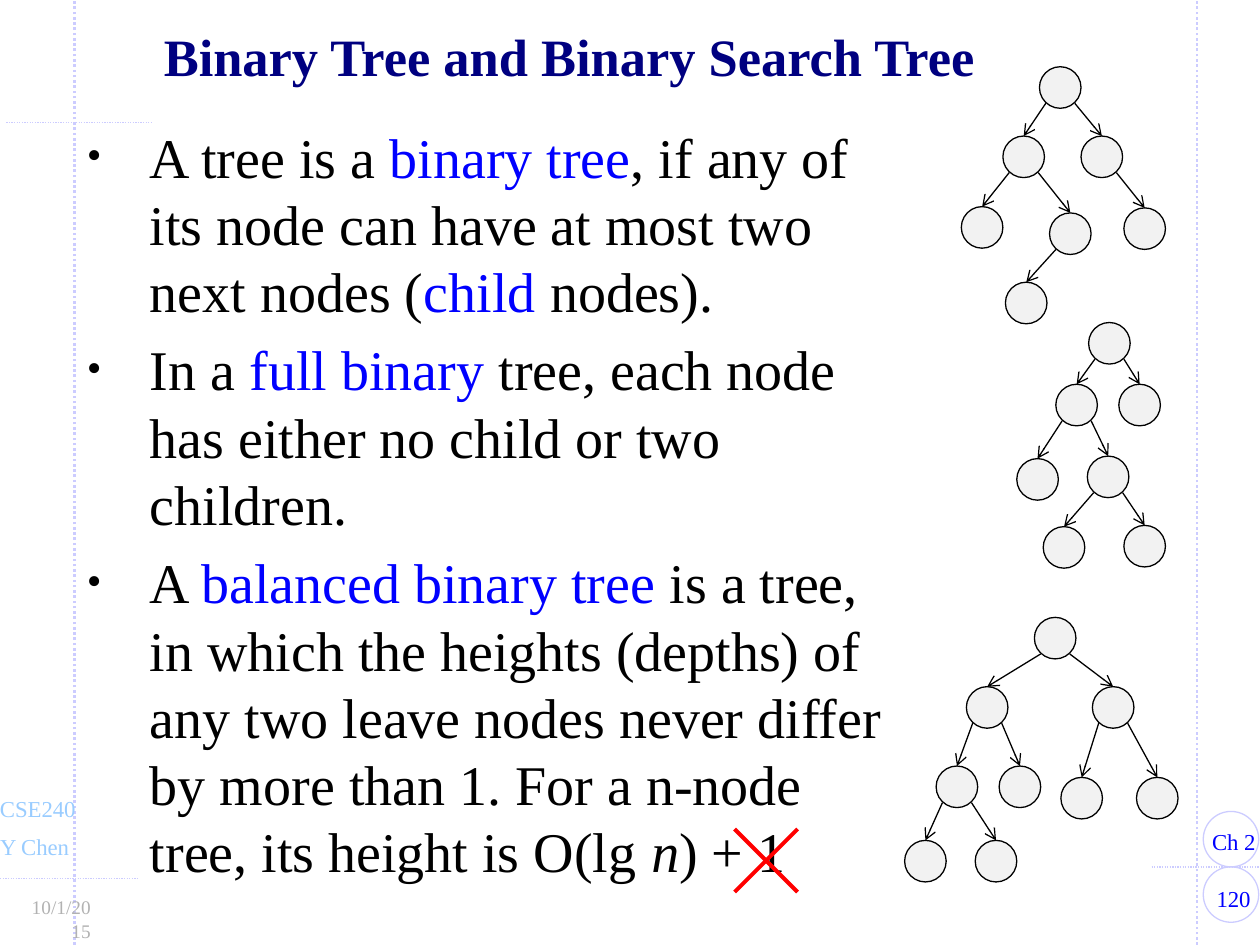
"""Build the slide on binary trees and binary search trees."""
from lxml import etree
from pptx import Presentation
from pptx.dml.color import RGBColor
from pptx.enum.dml import MSO_LINE
from pptx.enum.shapes import MSO_CONNECTOR, MSO_SHAPE
from pptx.enum.text import MSO_ANCHOR, MSO_AUTO_SIZE, PP_ALIGN
from pptx.oxml.ns import qn
from pptx.util import Inches, Pt

STRAIGHT, OVAL = MSO_CONNECTOR.STRAIGHT, MSO_SHAPE.OVAL
DOTTED = MSO_LINE.ROUND_DOT
LEFT, CENTER, RIGHT = PP_ALIGN.LEFT, PP_ALIGN.CENTER, PP_ALIGN.RIGHT
TOP, MIDDLE = MSO_ANCHOR.TOP, MSO_ANCHOR.MIDDLE
GROW = MSO_AUTO_SIZE.SHAPE_TO_FIT_TEXT

BLACK = RGBColor(0x00, 0x00, 0x00)
BLUE = RGBColor(0x00, 0x00, 0xFF)
NAVY = RGBColor(0x00, 0x00, 0x80)
RED = RGBColor(0xFF, 0x00, 0x00)
SKY = RGBColor(0x99, 0xCC, 0xFF)
LAVENDER = RGBColor(0xCC, 0xCC, 0xFF)
SILVER = RGBColor(0xB2, 0xB2, 0xB2)
NODE_FILL = RGBColor(0xF2, 0xF2, 0xF2)

GUIDES = [
    (0.59, 7.5, 0.59, 0, 1.5),
    (-0.06, 6.97, 1.09, 6.97, 0.75),
    (9.5, 7.5, 9.5, 0, 1.5),
    (9.14, 6.88, 10.05, 6.88, 0.75),
    (0.05, 0.97, 1.2, 0.97, 0.75),
]
LABELS = [
    ("120", 9.5, 6.97, 0.58, 13, BLUE, CENTER, True),
    ("Ch 2", 9.51, 6.52, 0.58, 13, BLUE, LEFT, False),
    ("Y Chen", -0.11, 6.56, 0.79, 13, SKY, LEFT, False),
    ("CSE240", -0.11, 6.26, 0.84, 13, SKY, LEFT, False),
    ("10/1/2015", 0.08, 7.06, 0.75, 11, SILVER, RIGHT, True),
]
BULLETS = [
    [("A tree is a ", BLACK, False), ("binary tree", BLUE, False),
     (", if any of its node can have at most two next nodes (", BLACK, False),
     ("child", BLUE, False), (" nodes).", BLACK, False)],
    [("In a ", BLACK, False), ("full binary ", BLUE, False),
     ("tree, each node has either no child or two children.", BLACK, False)],
    [("A ", BLACK, False), ("balanced binary tree ", BLUE, False),
     ("is a tree, in which the heights (depths) of any two leave nodes never differ "
      "by more than 1. For a n-node tree, its height is O(lg ", BLACK, False),
     ("n", BLACK, True), (") + 1", BLACK, False)],
]
BINARY_TREE = (8.25, 0.53, [
    (7.96, 1.08, [(7.63, 1.64, []), (8.33, 1.69, [(7.98, 2.24, [])])]),
    (8.58, 1.08, [(8.92, 1.65, [])]),
])
FULL_TREE = (8.64, 2.56, [
    (8.38, 3.05, [
        (8.07, 3.64, []),
        (8.63, 3.62, [(8.28, 4.18, []), (8.92, 4.17, [])]),
    ]),
    (8.88, 3.05, []),
])
BALANCED_TREE = (8.21, 4.9, [
    (7.67, 5.45, [
        (7.43, 6.08, [(7.18, 6.67, []), (7.74, 6.67, [])]),
        (7.93, 6.08, []),
    ]),
    (8.67, 5.45, [(8.42, 6.17, []), (9.02, 6.17, [])]),
])


class SlideBuilder:
    """Hold the style and the current slide."""

    font = "Times New Roman"
    node = 0.33
    inset = 0.05

    def __init__(self, s):
        self.s = s

    def line(self, x1, y1, x2, y2, color, width, dash=None, arrow=False):
        """Draw a straight line, dotted or with an arrowhead on request."""
        c = self.s.shapes.add_connector(
            STRAIGHT, Inches(x1), Inches(y1), Inches(x2), Inches(y2))
        c.line.color.rgb = color
        c.line.width = Pt(width)
        if dash:
            c.line.dash_style = dash
        if arrow:
            etree.SubElement(c.line._get_or_add_ln(), qn("a:tailEnd"), type="arrow")
        etree.SubElement(c._element.spPr, qn("a:effectLst"))

    def circle(self, x, y, size, color, fill=None):
        """Draw an outlined circle."""
        sp = self.s.shapes.add_shape(
            OVAL, Inches(x), Inches(y), Inches(size), Inches(size))
        sp.shadow.inherit = False
        sp.line.color.rgb = color
        sp.line.width = Pt(0.75)
        if fill is None:
            sp.fill.background()
        else:
            sp.fill.solid()
            sp.fill.fore_color.rgb = fill

    def box(self, x, y, w, h, wrap=True, anchor=TOP):
        """Add an empty text box and return its text frame."""
        tf = self.s.shapes.add_textbox(
            Inches(x), Inches(y), Inches(w), Inches(h)).text_frame
        tf.word_wrap = wrap
        tf.vertical_anchor = anchor
        tf.margin_left = tf.margin_right = Inches(0.11)
        tf.margin_top = tf.margin_bottom = Inches(0.05)
        return tf

    def style(self, r, size, color, bold=False, italic=False):
        """Format one run."""
        r.font.name = self.font
        r.font.size = Pt(size)
        r.font.color.rgb = color
        r.font.bold = bold
        r.font.italic = italic

    def label(self, text, x, y, w, size, color, align, wrap):
        """Add a small one-paragraph label."""
        tf = self.box(x, y, w, 0.32, wrap)
        tf.auto_size = GROW
        tf.text = text
        p = tf.paragraphs[0]
        p.alignment = align
        self.style(p.runs[0], size, color)

    def title(self, text):
        """Add the slide title."""
        tf = self.box(0.25, 0.17, 8.54, 0.62, anchor=MIDDLE)
        tf.text = text
        p = tf.paragraphs[0]
        p.alignment = CENTER
        p.line_spacing = 0.85
        self.style(p.runs[0], 30, NAVY, bold=True)

    def bullets(self, items):
        """Add the bulleted body text."""
        tf = self.box(0.58, 0.92, 6.77, 6.33)
        for i, runs in enumerate(items):
            p = tf.paragraphs[0] if i == 0 else tf.add_paragraph()
            if i:
                p.space_before = Pt(6.4)
            pPr = p._p.get_or_add_pPr()
            pPr.set("marL", str(Inches(0.5)))
            pPr.set("indent", str(Inches(-0.5)))
            color = etree.SubElement(pPr, qn("a:buClr"))
            etree.SubElement(color, qn("a:srgbClr"), val=str(BLACK))
            etree.SubElement(pPr, qn("a:buSzPct"), val="75000")
            etree.SubElement(pPr, qn("a:buFont"), typeface=self.font)
            etree.SubElement(pPr, qn("a:buChar"), char="•")
            for text, run_color, italic in runs:
                r = p.add_run()
                r.text = text
                self.style(r, 32, run_color, italic=italic)

    def tree(self, x, y, children):
        """Draw a node, its subtrees and the arrows to them."""
        self.circle(x, y, self.node, BLACK, NODE_FILL)
        for child in children:
            cx, cy, _ = child
            start = self.inset if cx < x else self.node - self.inset
            self.line(x + start, y + self.node - self.inset + 0.01,
                      cx + self.node / 2, cy, BLACK, 0.75, arrow=True)
            self.tree(*child)


def main():
    """Build and save the deck."""
    prs = Presentation()
    prs.slide_width, prs.slide_height = Inches(10), Inches(7.5)
    b = SlideBuilder(prs.slides.add_slide(prs.slide_layouts[6]))
    for *ends, width in GUIDES:
        b.line(*ends, LAVENDER, width, DOTTED)
    for y in (6.88, 6.44):
        b.circle(9.55, y, 0.44, LAVENDER)
    for label in LABELS:
        b.label(*label)
    b.title("Binary Tree and Binary Search Tree")
    b.bullets(BULLETS)
    for tree in (BINARY_TREE, FULL_TREE, BALANCED_TREE):
        b.tree(*tree)
    for y1, y2 in ((6.58, 7.08), (7.08, 6.58)):
        b.line(5.83, y1, 6.33, y2, RED, 2.25)
    prs.save("out.pptx")


if __name__ == "__main__":
    main()
